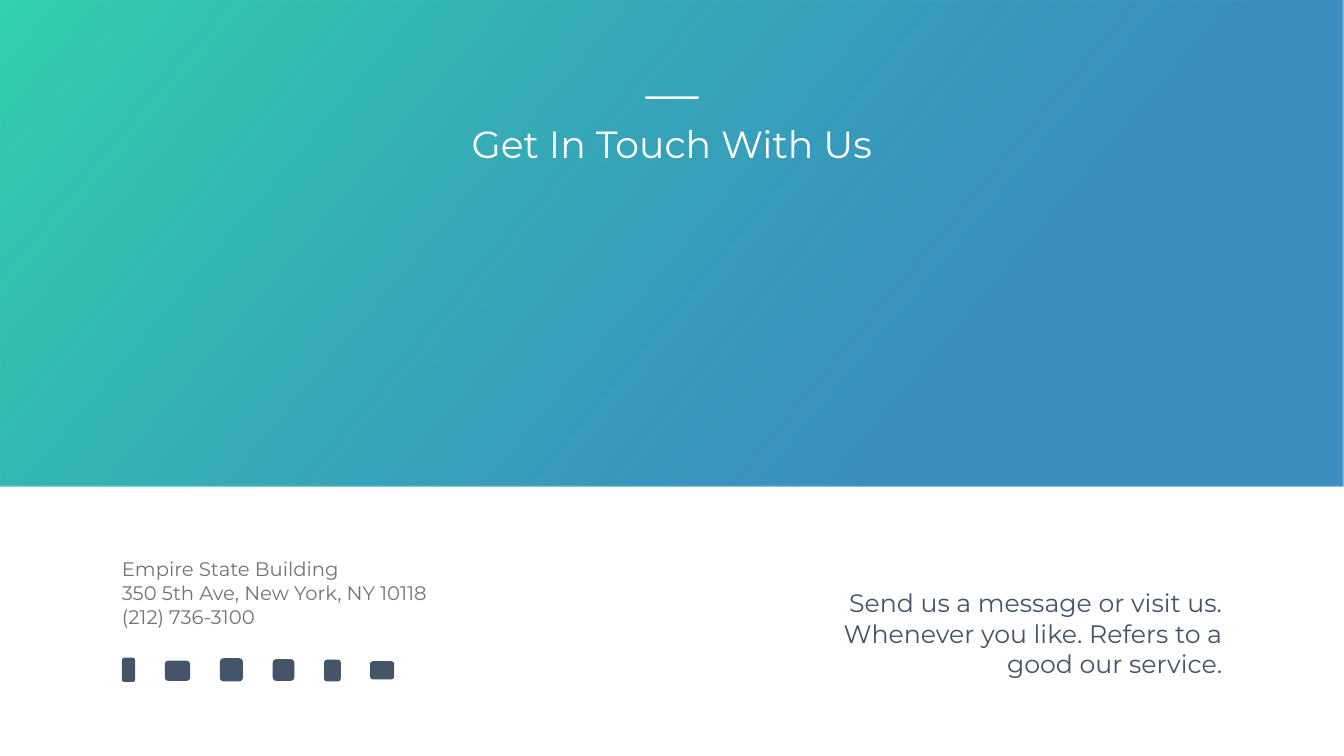
from lxml import etree
from pptx import Presentation
from pptx.dml.color import RGBColor
from pptx.enum.shapes import MSO_SHAPE as Preset
from pptx.enum.text import MSO_AUTO_SIZE as AutoSize, PP_ALIGN as Align
from pptx.oxml.ns import qn
from pptx.util import Inches, Pt

WHITE, SLATE, GRAY = "FFFFFF", "445469", "737572"
GREEN, BLUE = "33D1AD", "0D73B2"


def color(value):
    return RGBColor.from_string(value)


def add_plain_shape(preset, left, top, width, height, fill=None):
    """Add a shape without line or shadow, with a solid fill if one is given."""
    shape = slide.shapes.add_shape(
        preset, Inches(left), Inches(top), Inches(width), Inches(height))
    shape.shadow.inherit = False
    shape.line.fill.background()
    if fill:
        shape.fill.solid()
        shape.fill.fore_color.rgb = color(fill)
    return shape


presentation = Presentation()
presentation.slide_width, presentation.slide_height = Inches(26.66), Inches(15)
slide = presentation.slides.add_slide(presentation.slide_layouts[6])

# Gradient banner, from opaque green to translucent blue
banner = add_plain_shape(Preset.RECTANGLE, 0, 0, 26.66, 9.66)
banner.fill.gradient()
banner.fill.gradient_angle = 320
for stop, position, value in zip(banner.fill.gradient_stops, (0, 0.73), (GREEN, BLUE)):
    stop.position = position
    stop.color.rgb = color(value)
blue_element = banner._element.spPr.findall(".//" + qn("a:srgbClr"))[-1]
etree.SubElement(blue_element, qn("a:alpha"), val="80000")

# Social media markers: left, top, width, height
markers = [
    (2.42, 13.05, 0.26, 0.48),
    (3.27, 13.11, 0.5, 0.4),
    (4.36, 13.06, 0.46, 0.46),
    (5.41, 13.08, 0.43, 0.43),
    (6.43, 13.09, 0.33, 0.43),
    (7.34, 13.12, 0.48, 0.36),
]
for box in markers:
    add_plain_shape(Preset.ROUNDED_RECTANGLE, *box, SLATE)

# Text boxes: place, wrapping, alignment, format, paragraphs
texts = [
    ((2.32, 11.01, 6.36, 1.51), False, Align.LEFT, {"size": Pt(28)}, GRAY,
     ["Empire State Building", "350 5th Ave, New York, NY 10118", "(212) 736-3100"]),
    ((16.5, 11.61, 7.84, 1.92), True, Align.RIGHT, {"size": Pt(36)}, SLATE,
     ["Send us a message or visit us. Whenever you like. Refers to a good our service."]),
    ((7.54, 2.34, 11.57, 1.01), True, Align.CENTER, {"size": Pt(54)}, WHITE,
     ["Get In Touch With Us"]),
]
for box, wrap, alignment, font_format, text_color, lines in texts:
    frame = slide.shapes.add_textbox(*map(Inches, box)).text_frame
    frame.word_wrap = wrap
    frame.auto_size = AutoSize.SHAPE_TO_FIT_TEXT
    frame.text = "\n".join(lines)
    for paragraph in frame.paragraphs:
        paragraph.alignment = alignment
        font = paragraph.runs[0].font
        for name, value in {"name": "Montserrat", **font_format}.items():
            setattr(font, name, value)
        font.color.rgb = color(text_color)

# Short rule above the title
add_plain_shape(Preset.RECTANGLE, 12.8, 1.91, 1.06, 0.05, WHITE)

presentation.save("out.pptx")
